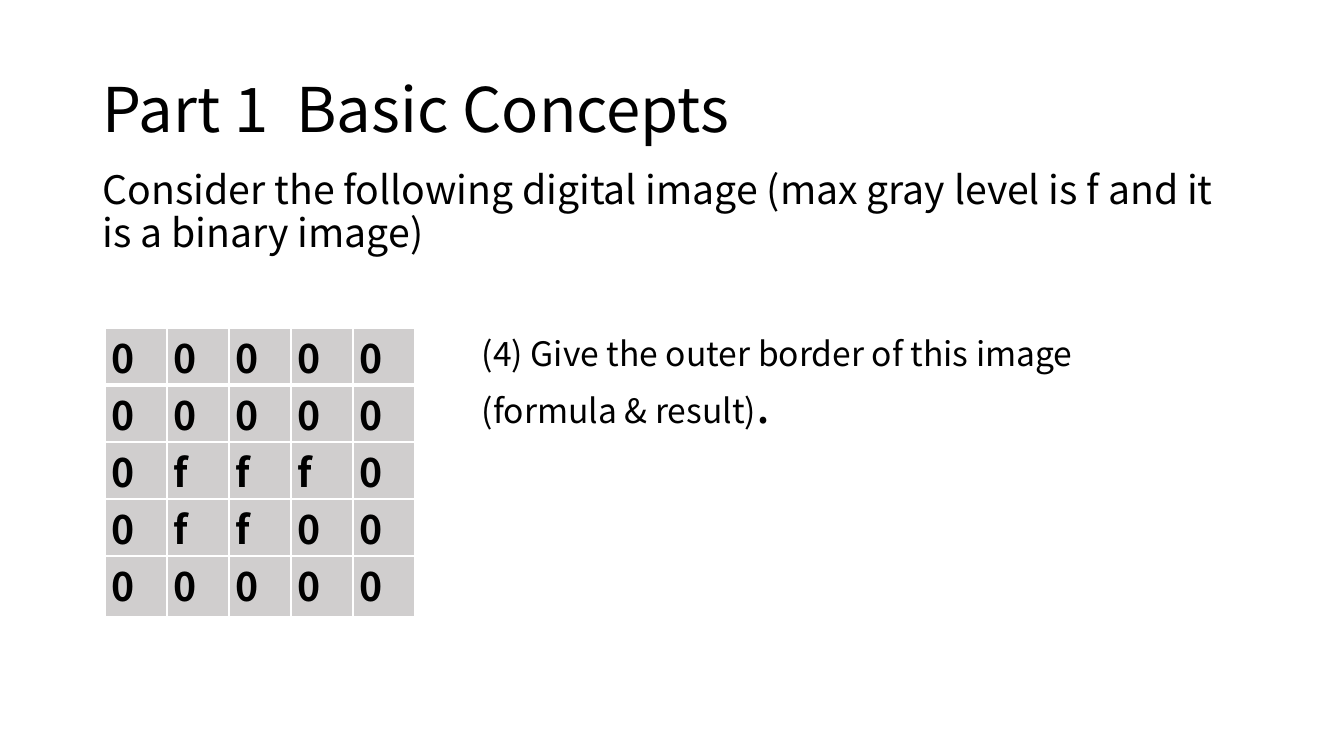
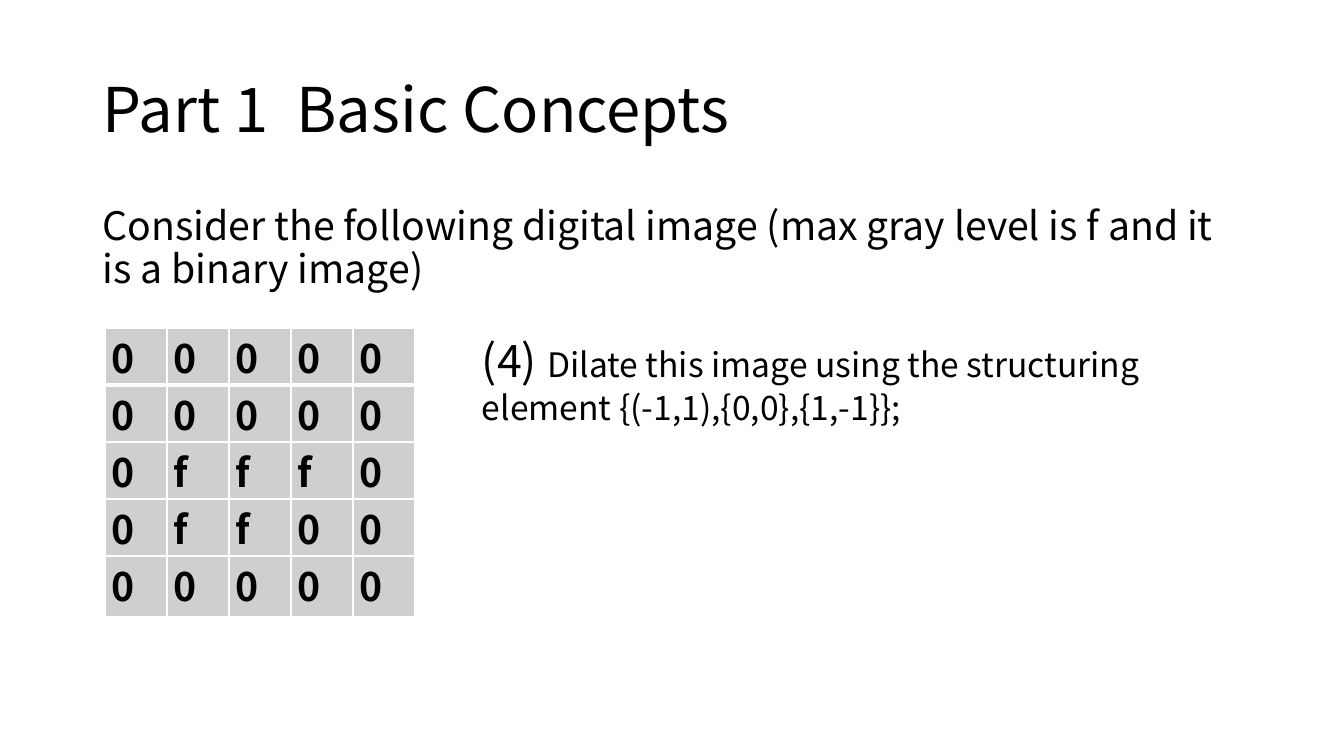
from lxml import etree
from pptx import Presentation
from pptx.dml.color import RGBColor
from pptx.enum.text import MSO_ANCHOR, PP_ALIGN
from pptx.oxml.ns import qn
from pptx.util import Emu, Pt

TITLE = "Part 1  Basic Concepts"
PROMPT = ("Consider the following digital image "
          "(max gray level is f and it is a binary image)")
GRAY_LEVELS = ["00000", "00000", "0fff0", "0ff00", "00000"]
# One entry a slide: top of the prompt, then the question as (text, size) runs
SLIDES = [
    (166, [("(4) Give the outer border of this image (formula & result)", 24),
           (".", 36)]),
    (202, [("(4) ", 32),
           ("Dilate this image using the structuring element "
            "{(-1,1),{0,0},{1,-1}};", 24)]),
]

FONT = "Noto Sans CJK SC"
BLACK = RGBColor(0x00, 0x00, 0x00)
WHITE = RGBColor(0xFF, 0xFF, 0xFF)
CELL_GRAY = RGBColor(0xD0, 0xCE, 0xCE)
TOP, MIDDLE = MSO_ANCHOR.TOP, MSO_ANCHOR.MIDDLE
JUSTIFY = PP_ALIGN.JUSTIFY

SLIDE_SIZE = (1344, 756)
LEFT, TEXT_WIDTH = 93, 1159
TABLE_LEFT, TABLE_TOP = 105, 328
COLUMN_WIDTH, ROW_HEIGHT, LAST_ROW_HEIGHT = 62, 57, 61
CELL_INSET = 7
THIN, THICK = 1, 3


def px(length):
    """Turn pixels (100.8 to the inch) into EMU."""
    return Emu(round(length * 914400 / 100.8))


def write(paragraph, runs, bold=False, line_spacing=None, space_before=None,
          align=None):
    """Fill a paragraph with (text, size) runs in the shared font."""
    paragraph.line_spacing = line_spacing
    paragraph.space_before = space_before
    paragraph.alignment = align
    for text, size in runs:
        run = paragraph.add_run()
        run.text = text
        run.font.name = FONT
        run.font.size = Pt(size)
        run.font.bold = bold
        run.font.color.rgb = BLACK


def add_text(slide, box, runs, anchor=TOP, **text_format):
    """Add a wrapping text box at (left, top, width, height)."""
    frame = slide.shapes.add_textbox(*map(px, box)).text_frame
    frame.word_wrap = True
    frame.vertical_anchor = anchor
    write(frame.paragraphs[0], runs, **text_format)


def set_border(cell, side, width):
    """Draw one white cell border; width is in points."""
    line = etree.SubElement(cell._tc.get_or_add_tcPr(), qn("a:" + side),
                            w=str(Pt(width)))
    fill = etree.SubElement(line, qn("a:solidFill"))
    etree.SubElement(fill, qn("a:srgbClr"), val=str(WHITE))


def add_pixel_table(slide):
    """Add the grid of gray levels with a thick rule below its first row."""
    row_count, column_count = len(GRAY_LEVELS), len(GRAY_LEVELS[0])
    heights = [ROW_HEIGHT] * (row_count - 1) + [LAST_ROW_HEIGHT]
    table = slide.shapes.add_table(
        row_count, column_count, px(TABLE_LEFT), px(TABLE_TOP),
        px(COLUMN_WIDTH * column_count), px(sum(heights))).table
    table.first_row = table.horz_banding = False
    for column in table.columns:
        column.width = px(COLUMN_WIDTH)
    for row_index, levels in enumerate(GRAY_LEVELS):
        table.rows[row_index].height = px(heights[row_index])
        widths = {"lnL": THIN, "lnR": THIN,
                  "lnT": THICK if row_index == 1 else THIN,
                  "lnB": THICK if row_index == 0 else THIN}
        for column_index, level in enumerate(levels):
            cell = table.cell(row_index, column_index)
            cell.margin_left = cell.margin_right = px(CELL_INSET)
            cell.margin_top = cell.margin_bottom = 0
            for side, width in widths.items():
                set_border(cell, side, width)
            cell.fill.solid()
            cell.fill.fore_color.rgb = CELL_GRAY
            write(cell.text_frame.paragraphs[0], [(level, 28)], bold=True,
                  align=JUSTIFY)


def add_question_slide(presentation, prompt_top, question):
    """Add one slide: title, prompt, pixel table and question."""
    slide = presentation.slides.add_slide(presentation.slide_layouts[6])
    add_text(slide, (LEFT, 40, TEXT_WIDTH, 146), [(TITLE, 44)],
             anchor=MIDDLE, line_spacing=0.9)
    add_text(slide, (LEFT, prompt_top, TEXT_WIDTH, 480), [(PROMPT, 28)],
             line_spacing=0.9, space_before=Pt(10))
    add_pixel_table(slide)
    add_text(slide, (472, TABLE_TOP, 725, 142), question)


presentation = Presentation()
presentation.slide_width, presentation.slide_height = map(px, SLIDE_SIZE)
for prompt_top, question in SLIDES:
    add_question_slide(presentation, prompt_top, question)
presentation.save("out.pptx")
